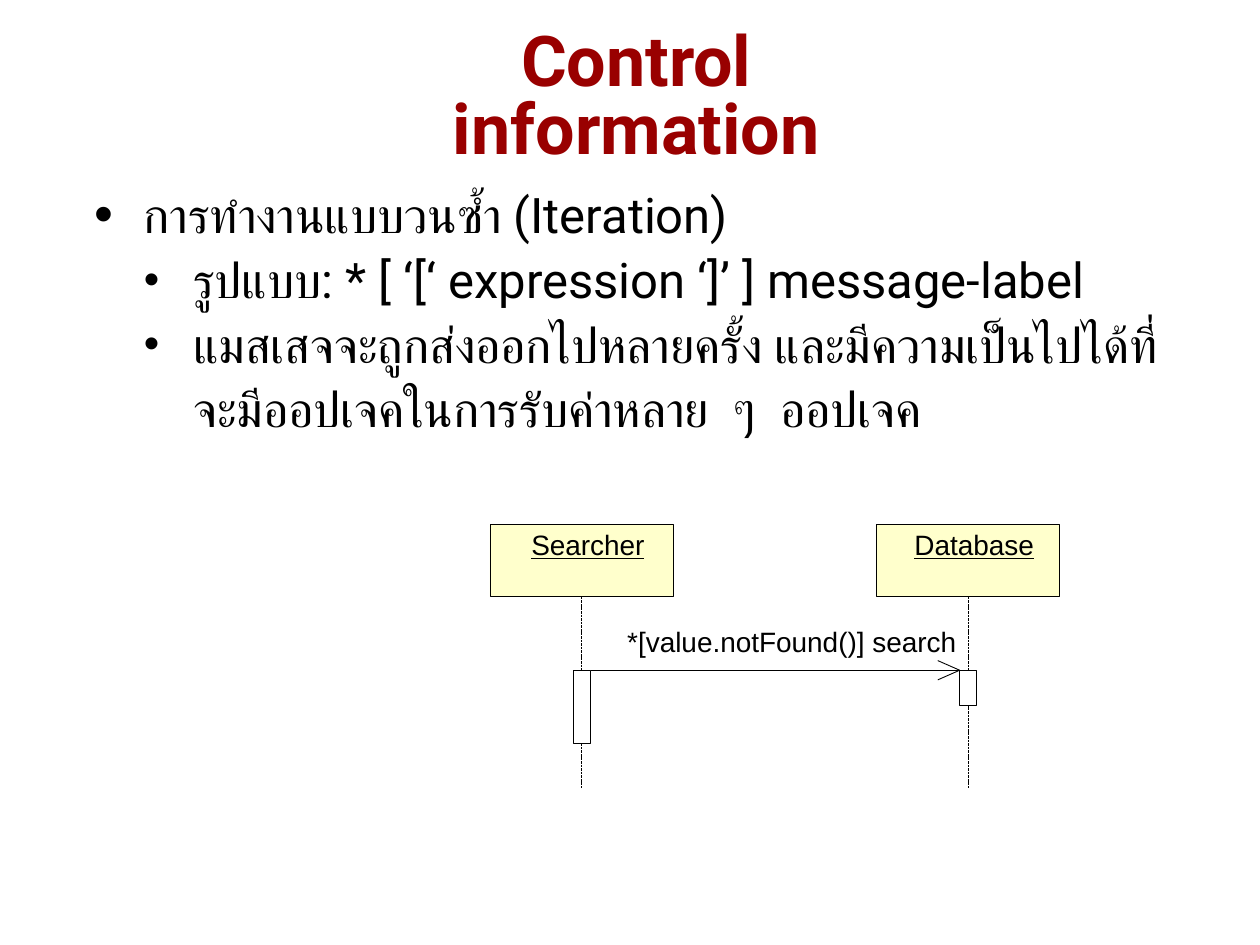
from lxml import etree
from pptx import Presentation
from pptx.dml.color import RGBColor
from pptx.enum.dml import MSO_LINE
from pptx.enum.shapes import MSO_CONNECTOR, MSO_SHAPE
from pptx.enum.text import MSO_ANCHOR, PP_ALIGN
from pptx.oxml.ns import qn
from pptx.util import Pt

STRAIGHT = MSO_CONNECTOR.STRAIGHT
RECTANGLE = MSO_SHAPE.RECTANGLE
DASHED = MSO_LINE.SQUARE_DOT
TOP, MIDDLE = MSO_ANCHOR.TOP, MSO_ANCHOR.MIDDLE
LEFT, CENTER = PP_ALIGN.LEFT, PP_ALIGN.CENTER
COLORS = {"title": "990000", "ink": "000000", "head": "FFFFCC", "bar": "FFFFFF"}
INDENT = 28.2
BULLETS = [
    (0, 110, "การทำงานแบบวนซ้ำ (Iteration)"),
    (1, 90, "รูปแบบ: * [ ‘[‘ expression ‘]’ ] message-label"),
    (1, 90, "แมสเสจจะถูกส่งออกไปหลายครั้ง และมีความเป็นไปได้ที่"
            "จะมีออปเจคในการรับค่าหลาย  ๆ  ออปเจค"),
]


def color(name):
    """Return the named colour."""
    return RGBColor.from_string(COLORS[name])


def write(para, text, size=16, font="Arial", ink="ink", bold=False,
          underline=False, align=LEFT, spacing=0.93):
    """Fill a paragraph with one formatted span."""
    para.alignment, para.line_spacing = align, spacing
    span = para.add_run()
    span.text = text
    span.font.size, span.font.name = Pt(size), font
    span.font.bold, span.font.underline = bold, underline
    span.font.color.rgb = color(ink)


def add_frame(page, left, top, width, height, wrap=True, anchor=TOP):
    """Add a text box without margins and return its text frame."""
    box = page.shapes.add_textbox(Pt(left), Pt(top), Pt(width), Pt(height))
    frame = box.text_frame
    frame.word_wrap, frame.vertical_anchor = wrap, anchor
    frame.margin_left = frame.margin_right = 0
    frame.margin_top = frame.margin_bottom = 0
    return frame


def add_bullet(para, level, percent):
    """Give a paragraph a hanging bullet."""
    para.level = level
    props = para._p.get_or_add_pPr()
    props.set("marL", str(Pt(INDENT * (level + 1))))
    props.set("indent", str(Pt(-INDENT)))
    tint = etree.SubElement(props, qn("a:buClr"))
    etree.SubElement(tint, qn("a:srgbClr"), val=COLORS["ink"])
    etree.SubElement(props, qn("a:buSzPct"), val=str(percent * 1000))
    etree.SubElement(props, qn("a:buFont"), typeface="Arial")
    etree.SubElement(props, qn("a:buChar"), char="•")


def add_rect(page, left, top, width, height, fill):
    """Add a thinly outlined rectangle."""
    rect = page.shapes.add_shape(RECTANGLE, Pt(left), Pt(top), Pt(width), Pt(height))
    rect.shadow.inherit = False
    rect.fill.solid()
    rect.fill.fore_color.rgb = color(fill)
    rect.line.color.rgb = color("ink")
    rect.line.width = Pt(0.5)
    return rect


def add_line(page, x1, y1, x2, y2, dash=None):
    """Add a thin straight line."""
    line = page.shapes.add_connector(STRAIGHT, Pt(x1), Pt(y1), Pt(x2), Pt(y2))
    line.line.color.rgb = color("ink")
    line.line.width = Pt(0.5)
    line.line.dash_style = dash
    etree.SubElement(line._element.spPr, qn("a:effectLst"))
    return line


def add_title(page, left, top, width, height):
    """Place the slide title."""
    frame = add_frame(page, left, top, width, height, anchor=MIDDLE)
    write(frame.paragraphs[0], "Control information", size=40, font="Roboto",
          ink="title", bold=True, align=CENTER, spacing=0.81)


def add_body(page, left, top, width, height):
    """Place the bulleted text."""
    frame = add_frame(page, left, top, width, height)
    for index, (level, percent, text) in enumerate(BULLETS):
        para = frame.add_paragraph() if index else frame.paragraphs[0]
        add_bullet(para, level, percent)
        write(para, text, size=28, font="Roboto", spacing=1.1)


def add_lifeline(page, left, top, width, height, name, bar_height):
    """Place an object head with its lifeline and activation bar."""
    center = left + width / 2
    head = add_rect(page, left, top, width, 41, "head")
    label = add_frame(page, left + 16, top + 3, 80, 19.5, wrap=False)
    write(label.paragraphs[0], name, underline=True, align=CENTER)
    line = add_line(page, center, top + 41, center, top + height, dash=DASHED)
    line.begin_connect(head, 2)
    add_rect(page, center - 4.8, top + 83, 9.6, bar_height, "bar")


def add_message(page, left, top, width, height, text):
    """Place a message arrow with its label above."""
    right, level = left + width, top + height
    add_line(page, left, level, right, level)
    for rise in (-5.5, 5.5):
        add_line(page, right, level, right - 12.5, level + rise)
    label = add_frame(page, right - 190, top, 190, 19.5, wrap=False)
    write(label.paragraphs[0], text)


def add_sequence(page, left, top, width, height):
    """Place the sequence diagram."""
    head_width = 105
    add_lifeline(page, left, top, head_width, height, "Searcher", 41.8)
    add_lifeline(page, left + width - head_width, top, head_width, height,
                 "Database", 20.2)
    add_message(page, left + 58, top + 58.4, width - head_width - 10.3, 24.6,
                "*[value.notFound()] search")


def main():
    """Build and save the deck."""
    deck = Presentation()
    deck.slide_width, deck.slide_height = Pt(720), Pt(540)
    page = deck.slides.add_slide(deck.slide_layouts[6])
    add_title(page, 212.4, 12.2, 302.4, 90)
    add_body(page, 54, 102.2, 618, 156.2)
    add_sequence(page, 280, 300, 325.7, 150)
    deck.save("out.pptx")


if __name__ == "__main__":
    main()
